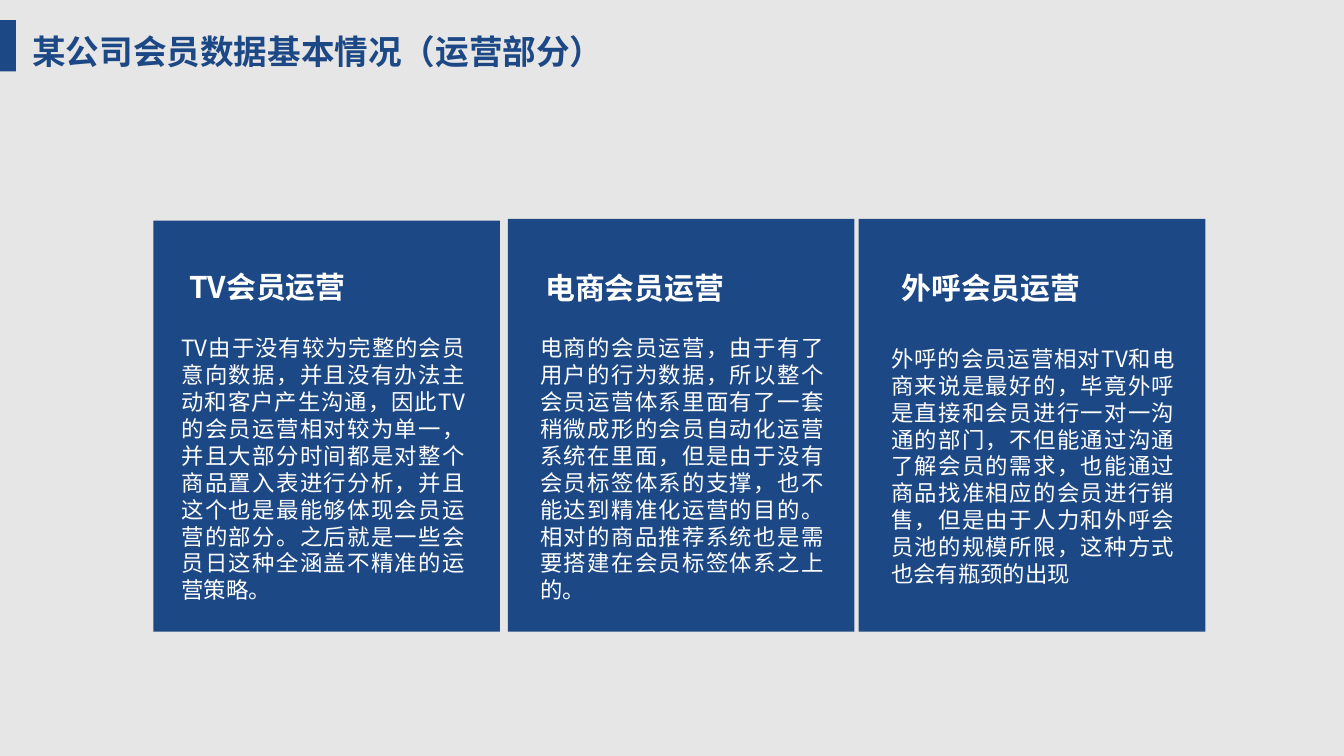
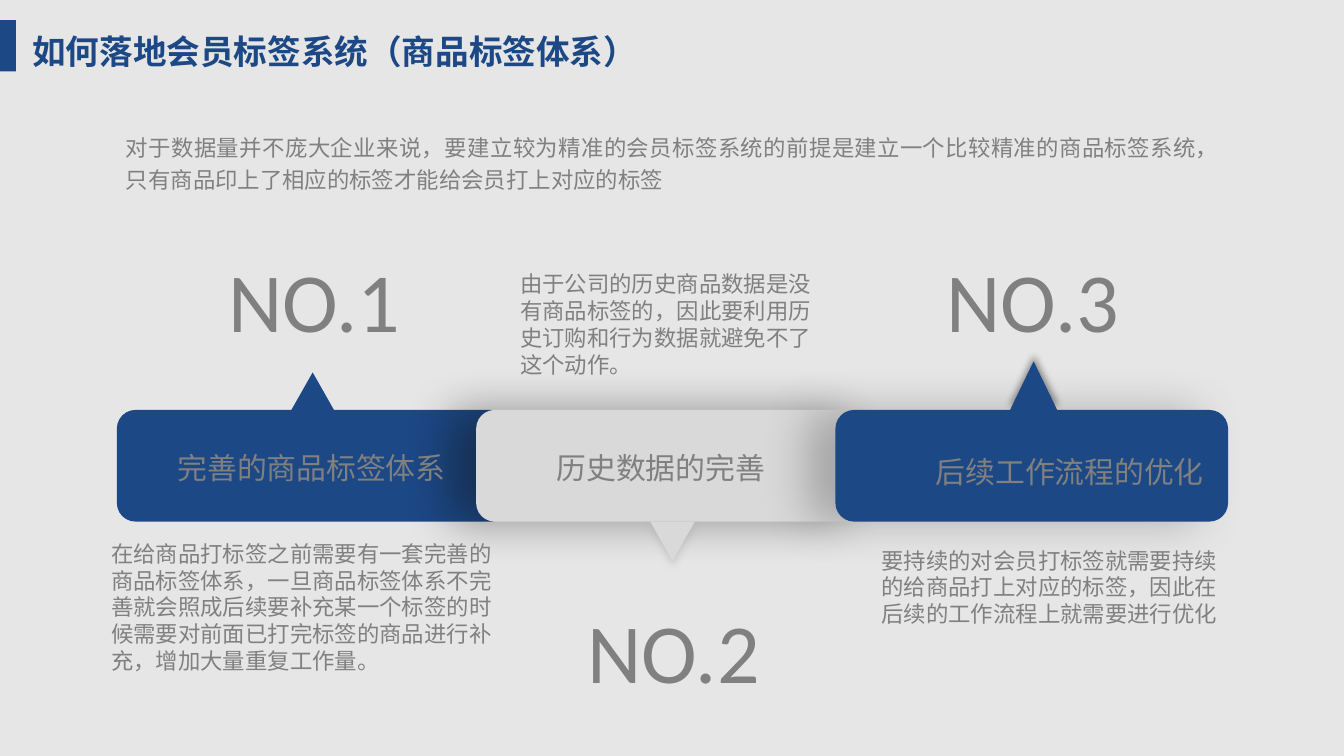
from lxml.etree import SubElement
from pptx import Presentation
from pptx.dml.color import RGBColor
from pptx.enum.shapes import MSO_SHAPE as Shape
from pptx.enum.text import MSO_ANCHOR as Anchor, MSO_AUTO_SIZE as AutoSize, PP_ALIGN as Align
from pptx.oxml.ns import qn
from pptx.util import Cm, Pt

COLORS = {
    "background": "E7E6E6",
    "blue": "1C4885",
    "silver": "D9D9D9",
    "gray": "808080",
    "white": "FFFFFF",
}
CJK = "Noto Sans CJK SC"
STEP = 6.79

CARDS = [
    ((2.9, 4.17, 6.55, 7.77), (3.58, 5.08), (3.43, 6.3, 5.36, 5.13), "TV会员运营",
     "TV由于没有较为完整的会员意向数据，并且没有办法主动和客户产生沟通，因此TV的会员运营相对较为单一，"
     "并且大部分时间都是对整个商品置入表进行分析，并且这个也是最能够体现会员运营的部分。"
     "之后就是一些会员日这种全涵盖不精准的运营策略。"),
    ((9.6, 4.14, 6.55, 7.8), (10.31, 5.1), (10.21, 6.3, 5.36, 5.13), "电商会员运营",
     "电商的会员运营，由于有了用户的行为数据，所以整个会员运营体系里面有了一套稍微成形的会员自动化运营系统在里面，"
     "但是由于没有会员标签体系的支撑，也不能达到精准化运营的目的。"
     "相对的商品推荐系统也是需要搭建在会员标签体系之上的。"),
    ((16.23, 4.14, 6.55, 7.8), (17.04, 5.1), (16.84, 6.5, 5.36, 4.62), "外呼会员运营",
     "外呼的会员运营相对TV和电商来说是最好的，毕竟外呼是直接和会员进行一对一沟通的部门，"
     "不但能通过沟通了解会员的需求，也能通过商品找准相应的会员进行销售，"
     "但是由于人力和外呼会员池的规模所限，这种方式也会有瓶颈的出现"),
]

BARS = [("blue", None), ("silver", ("0D0D0D", 24, 15, 180)), ("blue", ("595959", 24, 15, 180))]
POINTERS = [
    ((5.49, 7.04, 0.84, 0.74), "blue", None, 0),
    ((12.29, 9.86, 0.84, 0.74), "silver", ("A6A6A6", 4, 3, 90), 180),
    ((19.08, 6.83, 0.91, 0.94), "blue", ("000000", 4, 3, 270), 0),
]
NUMBER_TOPS = [4.57, 11.2, 4.57]
LABELS = [
    ((3.07, 8.38, 5.64, 0.94), "完善的商品标签体系"),
    ((10.24, 8.38, 4.5, 0.94), "历史数据的完善"),
    ((17.4, 8.46, 5.64, 0.94), "后续工作流程的优化"),
]
DETAILS = [
    ((1.85, 10.08, 7.75, 2.82),
     "在给商品打标签之前需要有一套完善的商品标签体系，一旦商品标签体系不完善就会照成后续要补充某一个标签的时候"
     "需要对前面已打完标签的商品进行补充，增加大量重复工作量。"),
    ((9.58, 4.98, 6.22, 2.31),
     "由于公司的历史商品数据是没有商品标签的，因此要利用历史订购和行为数据就避免不了这个动作。"),
    ((16.41, 10.21, 6.91, 1.8),
     "要持续的对会员打标签就需要持续的给商品打上对应的标签，因此在后续的工作流程上就需要进行优化"),
]
INTRO = ("对于数据量并不庞大企业来说，要建立较为精准的会员标签系统的前提是建立一个比较精准的商品标签系统，"
         "只有商品印上了相应的标签才能给会员打上对应的标签")


def rgb(name):
    return RGBColor.from_string(COLORS[name])


def add_shadow(s, color, blur, distance, angle):
    effects = s._element.spPr.find(qn("a:effectLst"))
    shadow = SubElement(effects, qn("a:outerShdw"), blurRad=str(Pt(blur)), dist=str(Pt(distance)),
                        dir=str(angle * 60000), algn="ctr", rotWithShape="0")
    tint = SubElement(shadow, qn("a:srgbClr"), val=color)
    SubElement(tint, qn("a:alpha"), val="40000")


def add_block(slide, kind, box, color, shadow=None):
    s = slide.shapes.add_shape(kind, *map(Cm, box))
    s.shadow.inherit = False
    s.fill.solid()
    s.fill.fore_color.rgb = rgb(color)
    s.line.fill.background()
    if shadow:
        add_shadow(s, *shadow)
    return s


def add_text(slide, box, text, size=12, color="gray", font=CJK, bold=False,
             align=Align.LEFT, anchor=Anchor.TOP, wrap=True, inset=True, spacing=None):
    tf = slide.shapes.add_textbox(*map(Cm, box)).text_frame
    tf.word_wrap = wrap
    tf.auto_size = AutoSize.SHAPE_TO_FIT_TEXT
    tf.vertical_anchor = anchor
    if not inset:
        tf.margin_left = tf.margin_top = tf.margin_right = tf.margin_bottom = 0
    p = tf.paragraphs[0]
    p.text = text
    p.alignment = align
    p.line_spacing = spacing
    p.font.size = Pt(size)
    p.font.bold = bold
    p.font.color.rgb = rgb(color)
    p.font.name = font
    SubElement(p._p.get_or_add_pPr().get_or_add_defRPr(), qn("a:ea"), typeface=font)


def add_slide(prs, title):
    slide = prs.slides.add_slide(prs.slide_layouts[6])
    fill = slide.background.fill
    fill.solid()
    fill.fore_color.rgb = rgb("background")
    add_block(slide, Shape.RECTANGLE, (0, 0.38, 0.3, 0.97), "blue")
    add_text(slide, (0.36, 0.46, 14, 1.02), title, 18, "blue", bold=True)
    return slide


def add_card(slide, box, heading_at, body_box, heading, body):
    add_block(slide, Shape.RECTANGLE, box, "blue")
    add_text(slide, (*heading_at, 4.88, 0.69), heading, 16, "white", bold=True,
             align=Align.JUSTIFY, inset=False)
    add_text(slide, body_box, body, color="white", align=Align.JUSTIFY,
             anchor=Anchor.MIDDLE, inset=False)


def build_operations(prs):
    slide = add_slide(prs, "某公司会员数据基本情况（运营部分）")
    for card in CARDS:
        add_card(slide, *card)


def build_tag_system(prs):
    slide = add_slide(prs, "如何落地会员标签系统（商品标签体系）")
    add_text(slide, (2.13, 2.31, 21.18, 1.5), INTRO, align=Align.JUSTIFY, spacing=1.2)
    for i, (color, shadow) in enumerate(BARS):
        add_block(slide, Shape.ROUNDED_RECTANGLE, (2.21 + i * STEP, 7.75, 7.42, 2.11), color, shadow)
    for box, color, shadow, rotation in POINTERS:
        add_block(slide, Shape.ISOSCELES_TRIANGLE, box, color, shadow).rotation = rotation
    for i, top in enumerate(NUMBER_TOPS):
        add_text(slide, (4.06 + i * STEP, top, 3.81, 2.18), f"NO.{i + 1}", 45, font="Calibri", wrap=False)
    for box, label in LABELS:
        add_text(slide, box, label, 16, align=Align.CENTER, wrap=False)
    for box, detail in DETAILS:
        add_text(slide, box, detail)


def main():
    prs = Presentation()
    prs.slide_width, prs.slide_height = Cm(25.4), Cm(14.29)
    build_operations(prs)
    build_tag_system(prs)
    prs.save("out.pptx")


if __name__ == "__main__":
    main()
